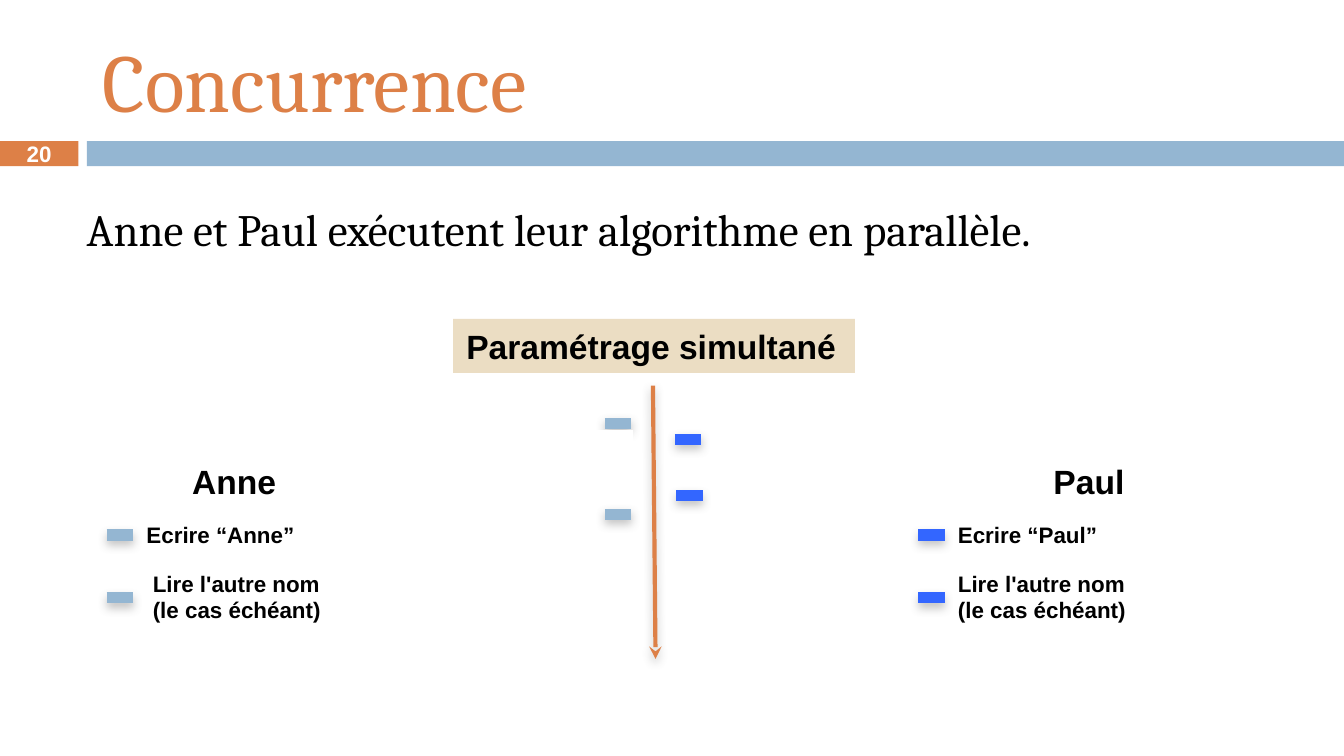
"""Build the slide on concurrency: Anne and Paul run their algorithm in parallel."""
import pptx
import pptx.dml.color
import pptx.enum.shapes
import pptx.enum.text
import pptx.oxml
import pptx.oxml.ns
import pptx.util

Pt = pptx.util.Pt
RGBColor = pptx.dml.color.RGBColor
ALIGN = pptx.enum.text.PP_ALIGN
ANCHOR = pptx.enum.text.MSO_ANCHOR

ORANGE = RGBColor(0xDD, 0x80, 0x47)
LIGHT_BLUE = RGBColor(0x94, 0xB6, 0xD2)
BLUE = RGBColor(0x33, 0x66, 0xFF)
SAND = RGBColor(0xEB, 0xDD, 0xC3)
BLACK = RGBColor(0, 0, 0)
WHITE = RGBColor(0xFF, 0xFF, 0xFF)

NAMESPACE = pptx.oxml.ns.nsdecls("a")
SHADOW = (
    f'<a:effectLst {NAMESPACE}><a:outerShdw blurRad="63500" dist="30480" '
    'dir="5400000" rotWithShape="0"><a:srgbClr val="808080">'
    '<a:alpha val="45000"/></a:srgbClr></a:outerShdw></a:effectLst>'
)
ARROWHEAD = f'<a:tailEnd {NAMESPACE} type="stealth"/>'
MARK_WIDTH = 14.2


def add_block(slide, left, top, width, height, color):
    """Add a plain filled rectangle."""
    block = slide.shapes.add_shape(
        pptx.enum.shapes.MSO_SHAPE.RECTANGLE,
        Pt(left), Pt(top), Pt(width), Pt(height))
    block.shadow.inherit = False
    block.fill.solid()
    block.fill.fore_color.rgb = color
    block.line.fill.background()
    return block


def write(shape, lines, size, font="Arial", color=BLACK, bold=True,
          align=ALIGN.LEFT, anchor=ANCHOR.TOP):
    """Fill a shape with one paragraph for each line."""
    frame = shape.text_frame
    frame.word_wrap = True
    frame.vertical_anchor = anchor
    for index, line in enumerate(lines):
        paragraph = frame.add_paragraph() if index else frame.paragraphs[0]
        paragraph.alignment = align
        run = paragraph.add_run()
        run.text = line
        run.font.name = font
        run.font.size = Pt(size)
        run.font.bold = bold
        run.font.color.rgb = color


def add_text(slide, left, top, width, height, lines, size, **style):
    """Add a wrapped text box."""
    box = slide.shapes.add_textbox(Pt(left), Pt(top), Pt(width), Pt(height))
    write(box, lines, size, **style)


def add_line(slide, start, end, color, width):
    """Add a straight line with a soft shadow."""
    line = slide.shapes.add_connector(
        pptx.enum.shapes.MSO_CONNECTOR.STRAIGHT,
        Pt(start[0]), Pt(start[1]), Pt(end[0]), Pt(end[1]))
    line.line.color.rgb = color
    line.line.width = Pt(width)
    line._element.spPr.append(pptx.oxml.parse_xml(SHADOW))
    return line


def add_mark(slide, left, middle, color):
    """Add the short thick dash that stands for one action."""
    add_line(slide, (left, middle), (left + MARK_WIDTH, middle), color, 6)


def add_time_arrow(slide):
    """Add the downward time axis."""
    arrow = add_line(slide, (349.8, 206.6), (351.2, 353), ORANGE, 2.25)
    arrow.line._get_or_add_ln().append(pptx.oxml.parse_xml(ARROWHEAD))


def add_person(slide, name, name_left, mark_left, read_left, color, events):
    """Add a person's name, the legend of actions and the marks on the axis."""
    add_text(slide, name_left, 243.4, 60.5, 29, [name], 18)
    add_text(slide, mark_left + MARK_WIDTH, 275.8, 163, 21.8,
             [f"Ecrire “{name}”"], 12)
    add_text(slide, read_left, 301.7, 188, 36.4,
             ["Lire l'autre nom", "(le cas échéant)"], 12)
    for middle in (286.6, 320.2):
        add_mark(slide, mark_left, middle, color)
    for left, middle in events:
        add_mark(slide, left, middle, color)


def add_header(slide):
    """Add the title, the band below it and the slide number."""
    add_block(slide, 0, 75.6, 42, 13.4, ORANGE)
    add_block(slide, 46.6, 75.6, 673.4, 13.4, LIGHT_BLUE)
    add_text(slide, 48, 13.7, 642, 58.3, ["Concurrence"], 44, font="Cambria",
             color=ORANGE, bold=False, anchor=ANCHOR.MIDDLE)
    add_text(slide, 0, 74.9, 42, 14.4, ["20"], 12, color=WHITE,
             align=ALIGN.CENTER, anchor=ANCHOR.MIDDLE)


def main():
    """Build and save the slide."""
    deck = pptx.Presentation()
    deck.slide_width, deck.slide_height = Pt(720), Pt(405)
    slide = deck.slides.add_slide(deck.slide_layouts[6])
    add_header(slide)
    add_text(slide, 39.4, 104.4, 634, 80,
             ["Anne et Paul exécutent leur algorithme en parallèle."], 24,
             font="Cambria", bold=False)
    add_time_arrow(slide)
    setup = add_block(slide, 242.7, 170.8, 215.3, 29, SAND)
    write(setup, ["Paramétrage simultané"], 18)
    add_person(slide, "Anne", 95.9, 57.2, 74.8, LIGHT_BLUE,
               [(324, 226.8), (324, 275.6)])
    add_block(slide, 316.8, 230.4, 22.3, 21.6, WHITE)
    add_person(slide, "Paul", 557.3, 491.9, 506.1, BLUE,
               [(361.6, 235.4), (362.4, 265.5)])
    deck.save("out.pptx")


if __name__ == "__main__":
    main()
